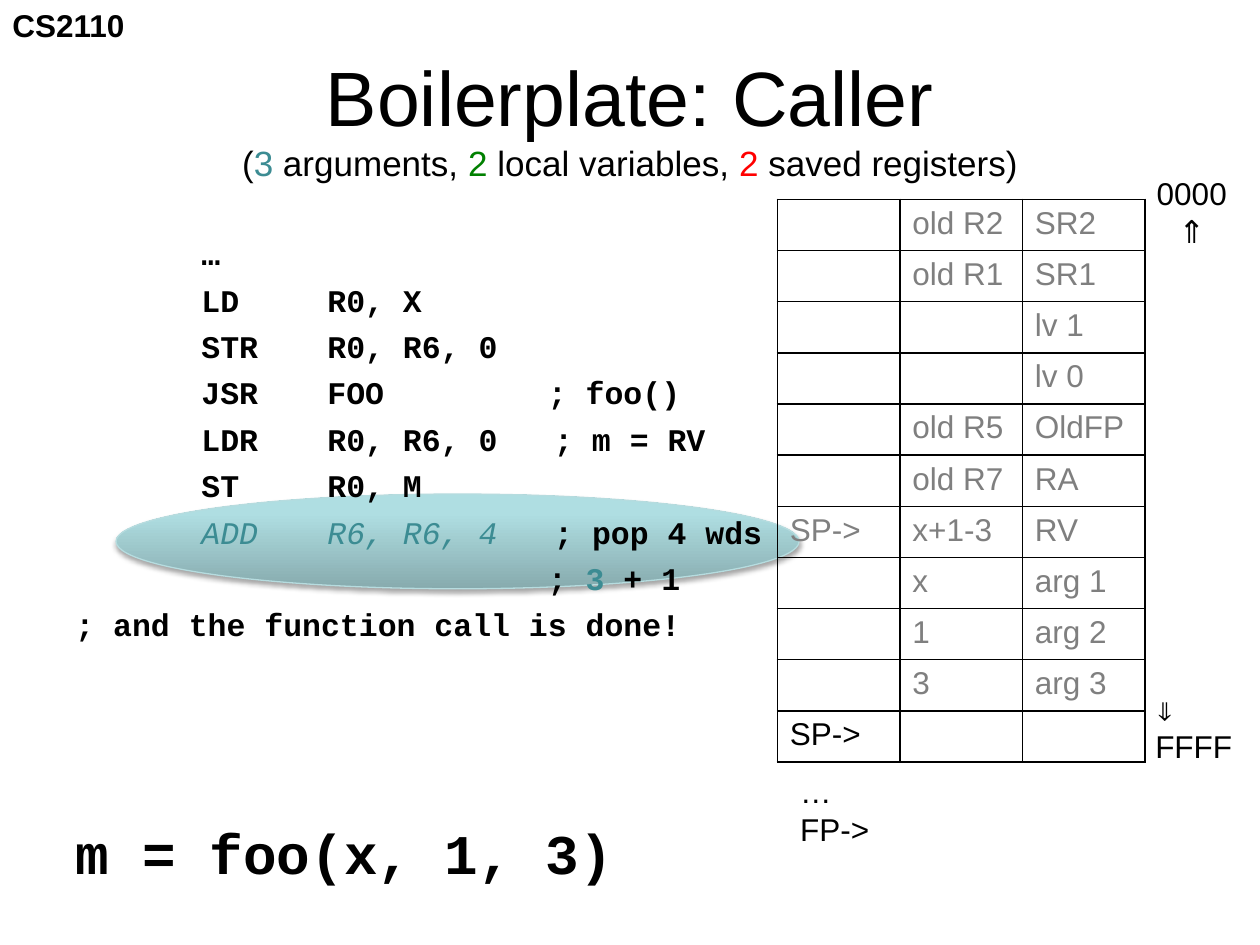
from lxml import etree
from pptx import Presentation
from pptx.dml.color import RGBColor
from pptx.enum.shapes import MSO_SHAPE
from pptx.enum.text import MSO_ANCHOR, PP_ALIGN
from pptx.oxml import parse_xml
from pptx.oxml.ns import nsdecls, qn
from pptx.util import Cm, Pt

LEFT, CENTER = PP_ALIGN.LEFT, PP_ALIGN.CENTER
TOP, MIDDLE = MSO_ANCHOR.TOP, MSO_ANCHOR.MIDDLE
OVAL = MSO_SHAPE.OVAL
TITLE_ONLY = 5

COLORS = {
    "black": "000000", "teal": "3C8C93", "green": "008000", "red": "FF0000",
    "gray": "7F7F7F", "sp_gray": "808080", "rim": "B6DCDF",
    "deep": "87ABAE", "mid": "AFDEE2", "light": "AFE0E4",
}
SANS, MONO = "Arial", "Courier New"
CODE = {"name": MONO, "bold": True}
TEAL = {"color": "teal"}
INSTRUCTION = {"color": "teal", "bold": False, "italic": True}


class SlideBuilder:
    def __init__(self, prs):
        self.slide = prs.slides.add_slide(prs.slide_layouts[TITLE_ONLY])
        self.base = {"name": SANS, "size": Pt(18), "color": "black"}

    def run(self, p, text, **fmt):
        r = p.add_run()
        r.text = text
        for key, value in {**self.base, **fmt}.items():
            if key == "color":
                r.font.color.rgb = RGBColor.from_string(COLORS[value])
            else:
                setattr(r.font, key, value)

    def fill_paragraph(self, p, runs, align=LEFT, **fmt):
        p.alignment = align
        for text, own in runs:
            if text == "\n":
                p.add_line_break()
            else:
                self.run(p, text, **{**fmt, **own})

    def title(self, box, runs):
        s = self.slide.shapes.title
        s.left, s.top, s.width, s.height = map(Cm, box)
        tf = s.text_frame
        tf.word_wrap, tf.vertical_anchor = True, MIDDLE
        self.fill_paragraph(tf.paragraphs[0], runs, CENTER)

    def text(self, box, lines, align=LEFT, wrap=False, gap=0, tabs=(), **fmt):
        tf = self.slide.shapes.add_textbox(*map(Cm, box)).text_frame
        tf.word_wrap, tf.vertical_anchor = wrap, TOP
        for i, runs in enumerate(lines):
            p = tf.paragraphs[0] if i == 0 else tf.add_paragraph()
            if i and gap:
                p.space_before = Pt(gap)
            if tabs:
                tab_list = etree.SubElement(p._p.get_or_add_pPr(), qn("a:tabLst"))
                for tab in tabs:
                    etree.SubElement(tab_list, qn("a:tab"), pos=str(Cm(tab)), algn="l")
            self.fill_paragraph(p, runs, align, **fmt)
        return tf

    def glossy_oval(self, box, stops, rim):
        s = self.slide.shapes.add_shape(OVAL, *map(Cm, box))
        stop_xml = "".join(
            f'<a:gs pos="{pos * 1000}"><a:srgbClr val="{COLORS[color]}"/></a:gs>'
            for pos, color in stops)
        s._element.spPr.append(parse_xml(
            f'<a:gradFill {nsdecls("a")} rotWithShape="1"><a:gsLst>{stop_xml}</a:gsLst>'
            '<a:lin ang="16200000" scaled="0"/></a:gradFill>'))
        s.line.color.rgb = RGBColor.from_string(COLORS[rim])
        s.line.width = Pt(0.75)
        s.shadow.inherit = False
        s._element.spPr.find(qn("a:effectLst")).append(parse_xml(
            f'<a:outerShdw {nsdecls("a")} blurRad="{Pt(3.1)}" dist="{Pt(1.8)}" '
            f'dir="5400000" rotWithShape="0"><a:srgbClr val="{COLORS["black"]}">'
            '<a:alpha val="35000"/></a:srgbClr></a:outerShdw>'))

    def border(self, cell):
        tc_pr = cell._tc.get_or_add_tcPr()
        for side in ("lnL", "lnR", "lnT", "lnB"):
            tc_pr.append(parse_xml(
                f'<a:{side} {nsdecls("a")} w="{Pt(1)}"><a:solidFill>'
                f'<a:srgbClr val="{COLORS["black"]}"/></a:solidFill></a:{side}>'))

    def table(self, box, rows, color_of):
        n_rows, n_cols = len(rows), len(rows[0])
        table = self.slide.shapes.add_table(n_rows, n_cols, *map(Cm, box)).table
        table.first_row = table.horz_banding = False
        for column in table.columns:
            column.width = Cm(box[2] / n_cols)
        for i, row in enumerate(rows):
            table.rows[i].height = Cm(box[3] / n_rows)
            for j, text in enumerate(row):
                cell = table.cell(i, j)
                self.border(cell)
                cell.fill.background()
                if text:
                    self.run(cell.text_frame.paragraphs[0], text, color=color_of(i, j))


STACK = [
    ("", "old R2", "SR2"),
    ("", "old R1", "SR1"),
    ("", "", "lv 1"),
    ("", "", "lv 0"),
    ("", "old R5", "OldFP"),
    ("", "old R7", "RA"),
    ("SP->", "x+1-3", "RV"),
    ("", "x", "arg 1"),
    ("", "1", "arg 2"),
    ("", "3", "arg 3"),
    ("SP->", "", ""),
]

LISTING = [
    [("\t…", {})],
    [("\tLD\tR0, X", {})],
    [("\tSTR\tR0, R6, 0", {})],
    [("\tJSR\tFOO\t     ; foo()", {})],
    [("\tLDR\tR0, R6, 0   ; m = RV", {})],
    [("\tST\tR0, M", {})],
    [("\t", {}), ("ADD\tR6, R6, 4   ", INSTRUCTION), ("; pop 4 wds", {})],
    [("\t\t\t     ; ", {}), ("3", TEAL), (" + 1", {})],
    [("; and the function call is done!", {})],
    [("m = foo(x, 1, 3)", {"size": Pt(32)})],
]

SMALL = {"size": Pt(20)}
HEADING = [
    ("Boilerplate: Caller", {"size": Pt(44)}),
    ("\n", {}),
    ("(", SMALL),
    ("3", {**SMALL, "color": "teal"}),
    (" arguments, ", SMALL),
    ("2", {**SMALL, "color": "green"}),
    (" local variables, ", SMALL),
    ("2", {**SMALL, "color": "red"}),
    (" saved registers)", SMALL),
]


def stack_color(row, column):
    if row == len(STACK) - 1:
        return "black"
    return "gray" if column else "sp_gray"


def main():
    prs = Presentation()
    prs.slide_width, prs.slide_height = Cm(25.4), Cm(19.05)
    sb = SlideBuilder(prs)
    sb.text((0, 0, 2.79, 1.02), [[("CS2110", {"bold": True})]])
    sb.glossy_oval((2.34, 9.96, 13.77, 1.91),
                   [(0, "deep"), (80, "mid"), (100, "light")], "rim")
    sb.title((1.27, 0.76, 22.86, 3.18), HEADING)
    code = sb.text((1.27, 4.6, 22.86, 14.02), LISTING, wrap=True, gap=4.9,
                   tabs=(2.54, 5.08, 7.62), **CODE)
    code.paragraphs[-1].space_before = Pt(100)
    sb.text((23.06, 3.38, 1.93, 1.8),
            [[("0000", {})], [("⇑", {"name": "Noto Sans CJK JP"})]], CENTER)
    sb.text((23.04, 13.77, 2.08, 1.8),
            [[("⇓", {"name": "Noto Sans Mono"})], [("FFFF", {})]])
    sb.table((15.67, 4.02, 7.41, 11.35), STACK, stack_color)
    sb.text((15.88, 15.44, 2.54, 1.8), [[("…", {})], [("FP->", {})]], wrap=True)
    prs.save("out.pptx")


if __name__ == "__main__":
    main()
